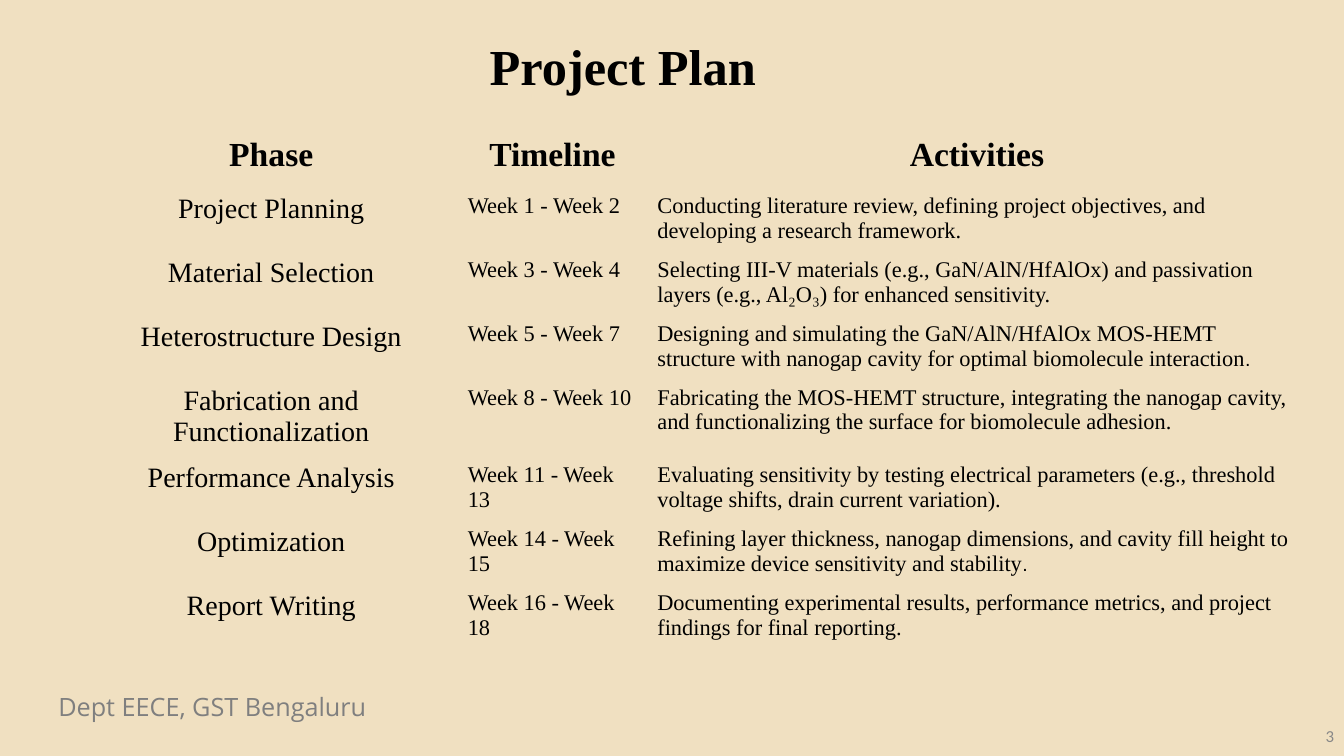
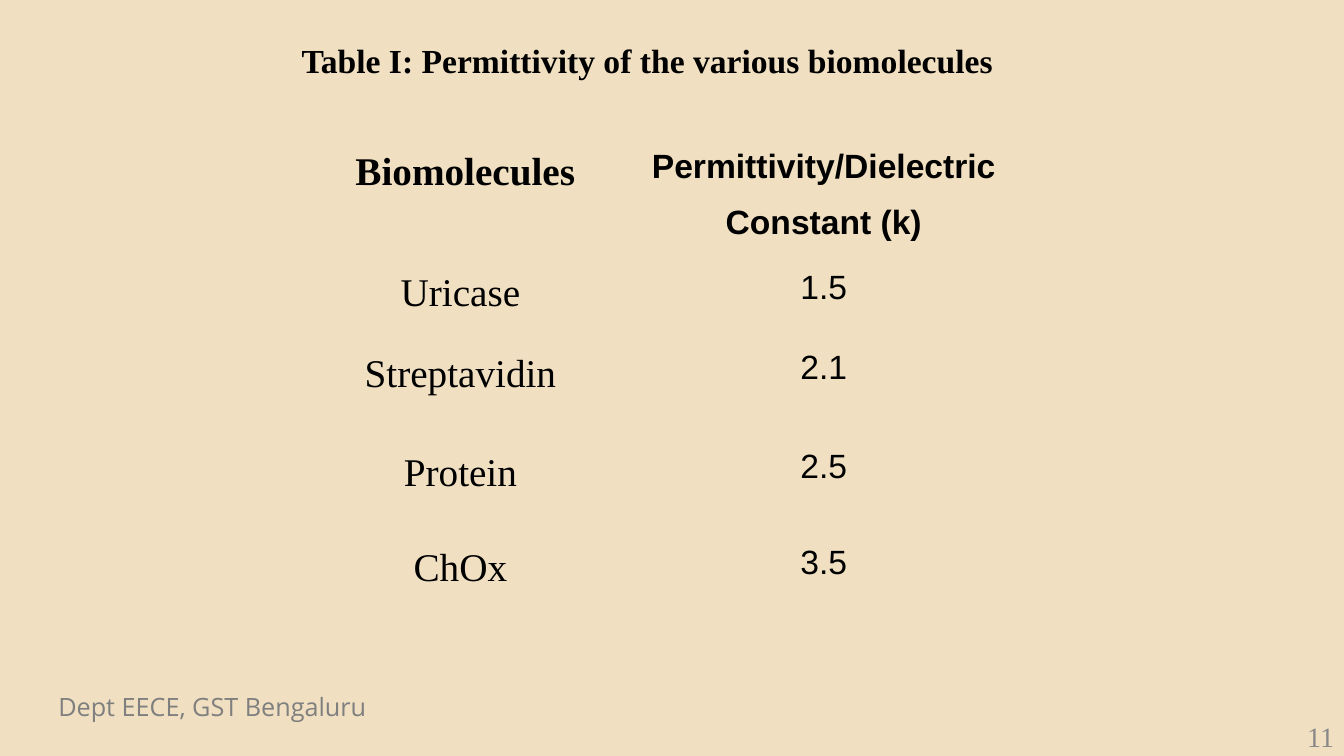
from pptx import Presentation
from pptx import util as u
from pptx.dml import color
from pptx.enum import text

SERIF, SANS = "Times New Roman", "Arial"
PAPER, INK, GREY, PALE = "F0E0C1", "000000", "7F7F7F", "888888"
LEFT, MID, RIGHT = text.PP_ALIGN.LEFT, text.PP_ALIGN.CENTER, text.PP_ALIGN.RIGHT
BARE = "{2D5ABB26-0587-4C30-8999-92F81FD0307C}"

FOOT = "Dept EECE, GST Bengaluru"
HEADS = ["Phase", "Timeline", "Activities"]
DOT = (".", {"size": u.Pt(14), "name": SANS})
PLAN = [
    ("Project Planning", "Week 1 - Week 2",
     "Conducting literature review, defining project objectives, and developing a research framework."),
    ("Material Selection", "Week 3 - Week 4",
     "Selecting III-V materials (e.g., GaN/AlN/HfAlOx) and passivation layers (e.g., Al₂O₃) for enhanced sensitivity."),
    ("Heterostructure Design", "Week 5 - Week 7",
     ["Designing and simulating the GaN/AlN/HfAlOx MOS-HEMT structure with nanogap cavity "
      "for optimal biomolecule interaction", DOT]),
    ("Fabrication and Functionalization", "Week 8 - Week 10",
     "Fabricating the MOS-HEMT structure, integrating the nanogap cavity, "
     "and functionalizing the surface for biomolecule adhesion."),
    ("Performance Analysis", "Week 11 - Week 13",
     "Evaluating sensitivity by testing electrical parameters (e.g., threshold voltage shifts, drain current variation)."),
    ("Optimization", "Week 14 - Week 15",
     ["Refining layer thickness, nanogap dimensions, and cavity fill height to maximize "
      "device sensitivity and stability", DOT]),
    ("Report Writing", "Week 16 - Week 18",
     "Documenting experimental results, performance metrics, and project findings for final reporting."),
]
RATES = [("Biomolecules", "Permittivity/Dielectric Constant (k)"), ("Uricase ", "1.5"),
         ("Streptavidin ", "2.1"), ("Protein ", "2.5"), ("ChOx ", "3.5")]


def paint(fmt, tone):
    """Give a font or a solid fill its hex colour."""
    target = fmt.color if hasattr(fmt, "color") else fmt.fore_color
    target.rgb = color.RGBColor.from_string(tone)


def put(item, values):
    """Set each named value on an object."""
    for key, value in values.items():
        setattr(item, key, value)


def face(size, name=SERIF, bold=False):
    """Return the font values for a text style."""
    return {"size": u.Pt(size), "name": name, "bold": bold}


def write(frame, words, font, align=LEFT, tone=INK, para=None):
    """Fill a text frame with one paragraph of one or more runs."""
    line = frame.paragraphs[0]
    put(line, {"alignment": align, **(para or {})})
    for part in [words] if isinstance(words, str) else words:
        word, extra = (part, {}) if isinstance(part, str) else part
        run = line.add_run()
        run.text = word
        put(run.font, {**font, **extra})
        paint(run.font, tone)


def label(slide, box, words, font, align=LEFT, tone=INK, anchor=text.MSO_ANCHOR.TOP):
    """Place a wrapped text box."""
    frame = slide.shapes.add_textbox(*map(u.Inches, box)).text_frame
    put(frame, {"word_wrap": True, "vertical_anchor": anchor})
    write(frame, words, font, align, tone)


def grid(slide, spot, cols, rows, data, looks, inset=None, para=None):
    """Place an unruled table; looks(row, col) gives font and alignment."""
    box = [*spot, sum(cols), sum(rows)]
    shape = slide.shapes.add_table(len(rows), len(cols), *map(u.Inches, box))
    table = shape.table
    put(table, {"first_row": False, "horz_banding": False})
    for mark in shape.element.iter("{*}tableStyleId"):
        mark.text = BARE
    for col, width in zip(table.columns, cols):
        col.width = u.Inches(width)
    for r, height in enumerate(rows):
        table.rows[r].height = u.Inches(height)
        for c, words in enumerate(data[r]):
            cell = table.cell(r, c)
            cell.fill.background()
            put(cell, inset or {})
            font, align = looks(r, c)
            write(cell.text_frame, words, font, align, para=para)


def base(deck, number, font):
    """Add a blank slide with its footer and page number."""
    slide = deck.slides.add_slide(deck.slide_layouts[6])
    label(slide, (0.48, 6.81, 5.24, 0.4), FOOT, face(18, "Open Sans"), tone=GREY)
    label(slide, (10.33, 7.1, 3, 0.4), number, font, RIGHT, PALE, text.MSO_ANCHOR.MIDDLE)
    return slide


def plan(deck):
    """Build the project plan slide."""
    slide = base(deck, "3", face(12, "Calibri"))
    label(slide, (0.49, 0.3, 11.5, 0.54), "Project Plan ", face(36, bold=True), MID)
    left, top, head, cols = 0.84, 1.31, 0.56, [3.7, 1.88, 6.54]
    grid(slide, (left, top + head), cols, [0.61] * len(PLAN), PLAN,
         lambda r, c: (face(16), LEFT) if c else (face(20), MID))
    grid(slide, (left, top), cols, [head], [HEADS],
         lambda r, c: (face(24, bold=True), MID))


def rates(deck):
    """Build the permittivity table slide."""
    slide = base(deck, "11", face(20))
    label(slide, (1.25, 0.35, 10.34, 0.74),
          "Table I: Permittivity of the various biomolecules", face(24, bold=True), MID)
    side, flat = u.Inches(0.07), u.Inches(0)
    inset = {"margin_left": side, "margin_right": side, "margin_top": flat, "margin_bottom": flat}
    para = {"line_spacing": 1.5, "space_after": u.Pt(8)}
    grid(slide, (2.86, 1.28), [3.51, 3.6], [1.07, 0.8, 0.98, 0.95, 1.07], RATES,
         lambda r, c: (face(24 if c else 28, SANS if c else SERIF, r == 0), MID), inset, para)


def main():
    """Build and save the deck."""
    deck = Presentation()
    put(deck, {"slide_width": u.Inches(13.33), "slide_height": u.Inches(7.5)})
    fill = deck.slide_master.background.fill
    fill.solid()
    paint(fill, PAPER)
    plan(deck)
    rates(deck)
    deck.save("out.pptx")


if __name__ == "__main__":
    main()
